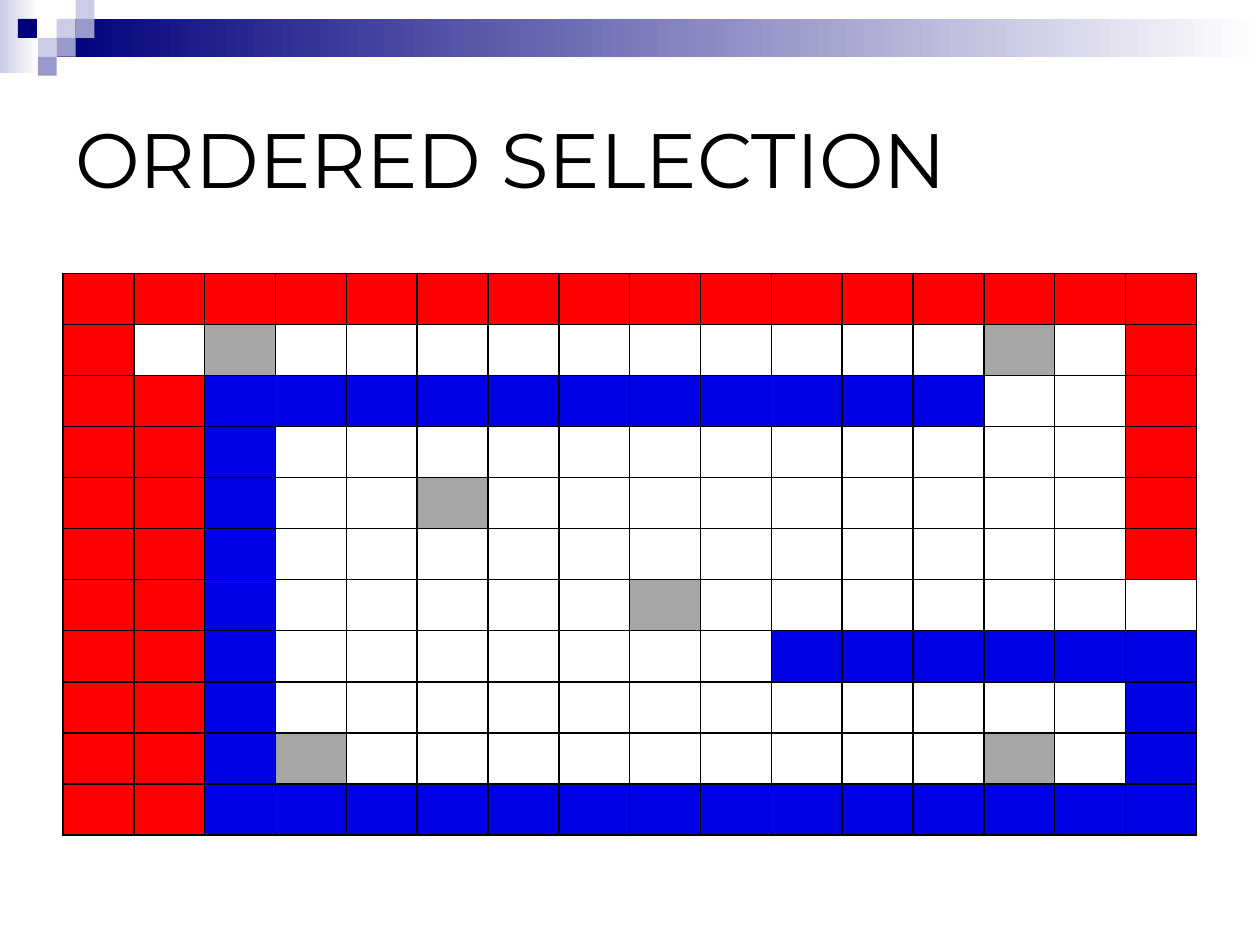
"""Build the ordered selection slide: a banner, a title and a coloured maze grid."""
import pptx
import pptx.dml.color
import pptx.enum.shapes
import pptx.enum.text
import pptx.oxml
import pptx.oxml.ns
import pptx.util

WIDTH, HEIGHT = 10, 7.5
TILE = 0.15
COLOURS = {
    "navy": "00007D",
    "lavender": "CCCCE6",
    "violet": "9999CC",
    "red": "FF0000",
    "blue": "0000E4",
    "grey": "A6A6A6",
    "white": "FFFFFF",
    "black": "000000",
}
CELL_COLOURS = {"R": "red", "B": "blue", "G": "grey", ".": "white"}
MAZE = [
    "RRRRRRRRRRRRRRRR",
    "R.G..........G.R",
    "RRBBBBBBBBBBB..R",
    "RRB............R",
    "RRB..G.........R",
    "RRB............R",
    "RRB.....G.......",
    "RRB.......BBBBBB",
    "RRB............B",
    "RRBG.........G.B",
    "RRBBBBBBBBBBBBBB",
]
TILES = [
    (3, 1, "lavender"),
    (4, 0, "lavender"),
    (4, 1, "violet"),
    (2, 2, "lavender"),
    (0.95, 1, "navy"),
    (3, 2, "violet"),
    (2, 3, "violet"),
]


def rgb(name):
    """Return the named colour."""
    return pptx.dml.color.RGBColor.from_string(COLOURS[name])


def add_block(page, left, top, width, height):
    """Add a plain rectangle without outline, measured in inches."""
    block = page.shapes.add_shape(
        pptx.enum.shapes.MSO_SHAPE.RECTANGLE,
        *map(pptx.util.Inches, (left, top, width, height)),
    )
    block.shadow.inherit = False
    block.line.fill.background()
    return block


def add_fade(page, left, top, width, height, colour):
    """Add a rectangle that fades from a colour to white, left to right."""
    fill = add_block(page, left, top, width, height).fill
    fill.gradient()
    fill.gradient_angle = 0
    for stop, name in zip(fill.gradient_stops, (colour, "white")):
        stop.color.rgb = rgb(name)


def add_tile(page, column, row, colour):
    """Add one square of the banner, placed on the tile grid."""
    tile = add_block(page, column * TILE, row * TILE, TILE, TILE)
    tile.fill.solid()
    tile.fill.fore_color.rgb = rgb(colour)


def add_title(page, text):
    """Add the title across the upper part of the slide."""
    box = page.shapes.add_textbox(
        *map(pptx.util.Inches, (WIDTH * 0.05, 0.5, WIDTH * 0.9, HEIGHT * 0.2))
    )
    frame = box.text_frame
    frame.word_wrap = True
    frame.vertical_anchor = pptx.enum.text.MSO_ANCHOR.MIDDLE
    para = frame.paragraphs[0]
    para.text = text
    para.font.name = "Montserrat"
    para.font.size = pptx.util.Pt(44)
    para.font.color.rgb = rgb("black")


def add_borders(cell, colour, points):
    """Draw a line on all four sides of a cell."""
    properties = cell._tc.get_or_add_tcPr()
    for side in ("lnL", "lnR", "lnT", "lnB"):
        properties.append(pptx.oxml.parse_xml(
            f'<a:{side} {pptx.oxml.ns.nsdecls("a")} w="{pptx.util.Pt(points)}">'
            f'<a:solidFill><a:srgbClr val="{COLOURS[colour]}"/></a:solidFill>'
            f'</a:{side}>'
        ))


def add_maze(page, rows):
    """Add the table whose cells are coloured by the letters of each row."""
    table = page.shapes.add_table(
        len(rows), len(rows[0]),
        *map(pptx.util.Inches, (WIDTH * 0.05, 2.17, WIDTH * 0.9, 4.46)),
    ).table
    table.first_row = table.horz_banding = False
    for row, letters in enumerate(rows):
        for column, letter in enumerate(letters):
            cell = table.cell(row, column)
            cell.margin_top = cell.margin_bottom = 0
            add_borders(cell, "black", 1)
            cell.fill.solid()
            cell.fill.fore_color.rgb = rgb(CELL_COLOURS[letter])


def main():
    """Build and save the deck."""
    deck = pptx.Presentation()
    deck.slide_width = pptx.util.Inches(WIDTH)
    deck.slide_height = pptx.util.Inches(HEIGHT)
    page = deck.slides.add_slide(deck.slide_layouts[6])
    add_fade(page, 0, 0, 0.31, 0.58, "lavender")
    add_fade(page, 3 * TILE, TILE, WIDTH - 3 * TILE, 2 * TILE, "navy")
    for column, row, colour in TILES:
        add_tile(page, column, row, colour)
    add_title(page, "ORDERED SELECTION")
    add_maze(page, MAZE)
    deck.save("out.pptx")


if __name__ == "__main__":
    main()
